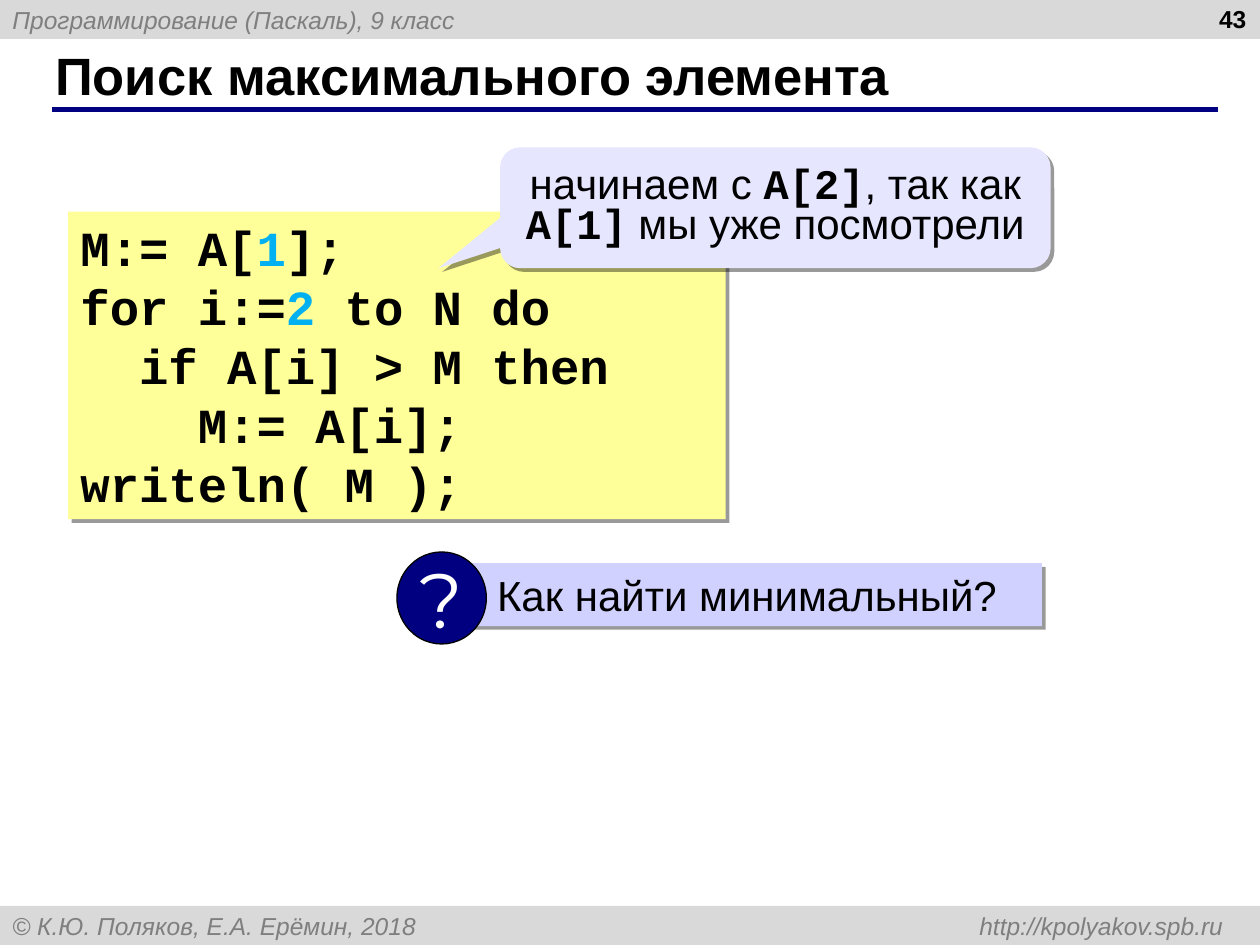
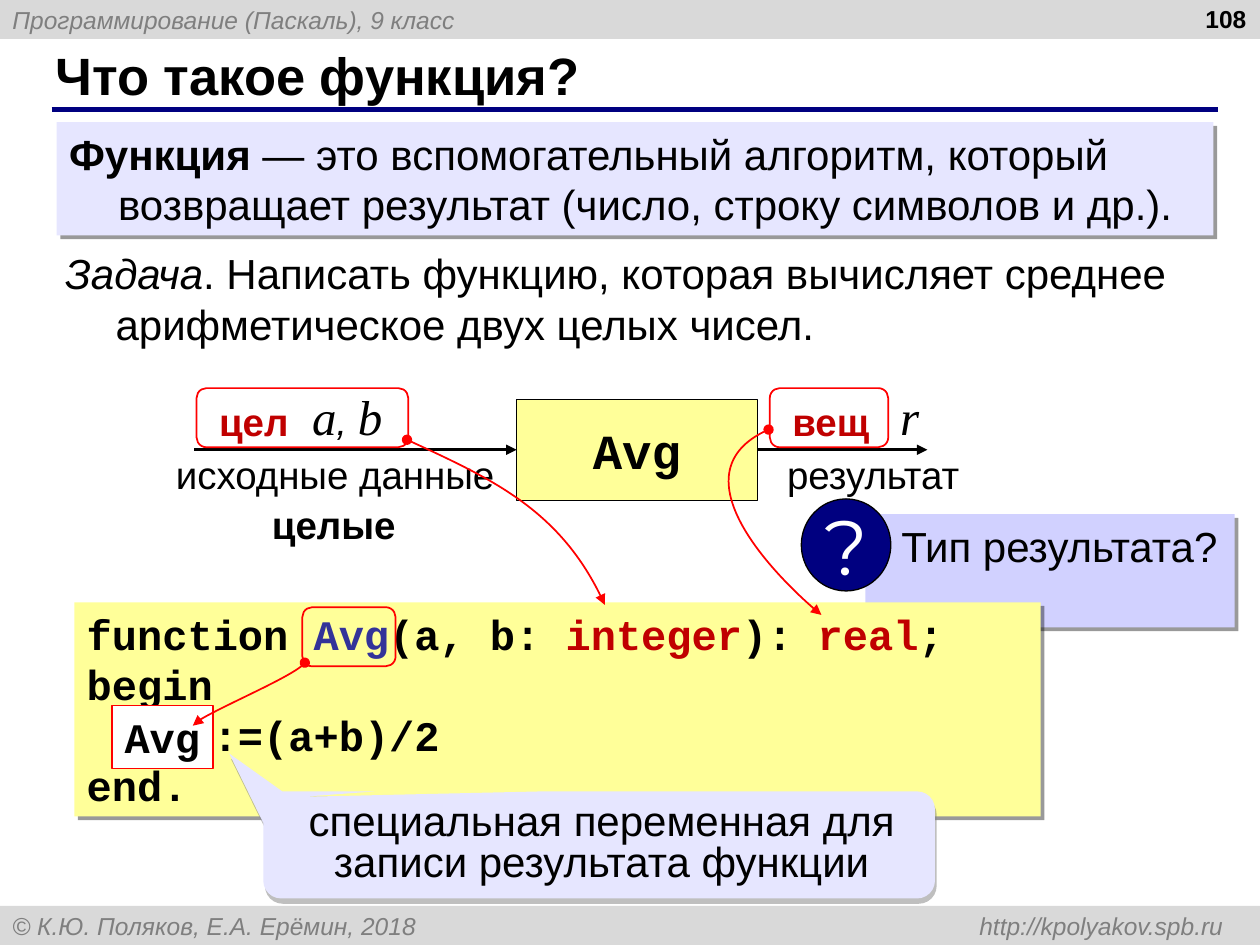
from lxml import etree
from pptx import Presentation
from pptx.dml.color import RGBColor
from pptx.enum import shapes, text
from pptx.oxml import ns
from pptx.util import Pt

# Shared colours
BLACK, WHITE, RED = "000000", "FFFFFF", "FF0000"
NAVY, BAND, GREY = "000080", "D9D9D9", "7F7F7F"
YELLOW, LILAC, ASK = "FFFF99", "E6E6FF", "D1D1FF"
CYAN, CRIMSON, BLUE = "00B0F0", "C00000", "333399"

# Shared text formats
BODY = dict(name="Arial", size=24, color=BLACK)
TITLE = dict(BODY, size=30, bold=True)
PAGE = dict(BODY, size=14, bold=True)
NOTE = dict(BODY, size=14, color=GREY, italic=True)
LABEL = dict(BODY, size=22)
MATH = dict(BODY, name="Times New Roman", size=28, italic=True)
CODE = dict(BODY, name="Courier New", bold=True)
BIG = dict(CODE, size=28)
MARK = dict(BODY, name="Montserrat", size=44, color=WHITE)

# Shadows: colour, opacity %, distance, angle
HARD = (BLACK, 40, 3, 45)
SOFT = ("808080", 50, 3.2, 72)

KIND = shapes.MSO_SHAPE
MID = text.MSO_ANCHOR.MIDDLE
CENTER = text.PP_ALIGN.CENTER
RIGHT = text.PP_ALIGN.RIGHT
PAD = (7.2, 3.6, 7.2, 3.6)
NONE = (0, 0, 0, 0)


def rgb(code):
    return RGBColor.from_string(code)


def node(parent, tag, **values):
    item = etree.SubElement(parent, ns.qn("a:" + tag))
    for key, value in values.items():
        item.set(key, str(value))
    return item


def style(font, form):
    for key, value in form.items():
        if key == "color":
            font.color.rgb = rgb(value)
        else:
            setattr(font, key, Pt(value) if key == "size" else value)


def write(shape, paras, form, align=None, anchor=text.MSO_ANCHOR.TOP,
          pad=PAD, wrap=True, gap=None, hang=0, tab=None):
    """Each paragraph is a list of strings or (string, changes) pairs."""
    frame = shape.text_frame
    frame.word_wrap = wrap
    frame.vertical_anchor = anchor
    for side, size in zip(("left", "top", "right", "bottom"), pad):
        setattr(frame, "margin_" + side, Pt(size))
    for i, parts in enumerate(paras):
        para = frame.add_paragraph() if i else frame.paragraphs[0]
        para.alignment = align or text.PP_ALIGN.LEFT
        if gap:
            para.line_spacing = gap
        props = para._p.get_or_add_pPr()
        if hang:
            props.set("marL", str(Pt(hang)))
            props.set("indent", str(-Pt(hang)))
        if tab:
            node(node(props, "tabLst"), "tab", pos=Pt(tab), algn="r")
        for part in parts:
            words, change = (part, {}) if isinstance(part, str) else part
            run = para.add_run()
            run.text = words
            style(run.font, {**form, **change})


def paint(shape, fill=None, line=None, shade=None):
    if fill:
        shape.fill.solid()
        shape.fill.fore_color.rgb = rgb(fill)
    else:
        shape.fill.background()
    if line:
        shape.line.color.rgb = rgb(line[0])
        shape.line.width = Pt(line[1])
    else:
        shape.line.fill.background()
    shape.shadow.inherit = False
    if shade:
        tint, alpha, dist, angle = shade
        effect = shape._element.spPr.find(ns.qn("a:effectLst"))
        outer = node(effect, "outerShdw", dist=Pt(dist), dir=angle * 60000,
                     algn="ctr", rotWithShape=0)
        node(node(outer, "srgbClr", val=tint), "alpha", val=alpha * 1000)


def block(slide, place, fill=None, line=None, shade=None, kind=KIND.RECTANGLE, adj=()):
    shape = slide.shapes.add_shape(kind, *map(Pt, place))
    for i, value in enumerate(adj):
        shape.adjustments[i] = value
    paint(shape, fill, line, shade)
    return shape


def label(slide, place, parts, form, **opts):
    write(slide.shapes.add_textbox(*map(Pt, place)), [parts], form, **opts)


def tips(shape, **ends):
    line = shape.line._get_or_add_ln()
    for end, kind in ends.items():
        node(line, end + "End", type=kind)


def rule(slide, start, end, color, width):
    line = slide.shapes.add_connector(shapes.MSO_CONNECTOR.STRAIGHT,
                                      *map(Pt, start + end))
    line.line.color.rgb = rgb(color)
    line.line.width = Pt(width)
    node(line._element.spPr, "effectLst")
    return line


def outline(slide, points, close):
    first, *rest = [(Pt(x), Pt(y)) for x, y in points]
    build = slide.shapes.build_freeform(*first)
    build.add_line_segments(rest, close=close)
    return build.convert_to_shape()


def curve(slide, *points):
    """Red Bezier arrow: start, two control points, end."""
    shape = outline(slide, points, False)
    legs = list(shape._element.iter(ns.qn("a:lnTo")))
    bend = node(legs[0].getparent(), "cubicBezTo")
    for leg in legs:
        bend.append(leg[0])
        leg.getparent().remove(leg)
    paint(shape, line=(RED, 1))
    tips(shape, head="oval", tail="triangle")


def ring(slide, x, y, w):
    block(slide, (x, y, w, 33.8), line=(RED, 1), kind=KIND.ROUNDED_RECTANGLE, adj=[0.167])


def listing(slide, place, lines, form):
    write(block(slide, place, YELLOW, shade=HARD), lines, form)


def bubble(slide, place, parts, adj, shade, pad=PAD):
    shape = block(slide, place, LILAC, shade=shade,
                  kind=KIND.ROUNDED_RECTANGULAR_CALLOUT, adj=adj + [0.167])
    write(shape, [parts], BODY, align=CENTER, anchor=MID, pad=pad, gap=0.8)


def ask(slide, words, x, y, size, drop):
    box = block(slide, (x + 36.7, y + drop, *size), ASK, shade=HARD)
    write(box, [[words]], BODY, pad=(20.5, 3.6, 0, 3.6))
    disc = block(slide, (x, y, 51.1, 52.6), NAVY, (BLACK, 0.75), kind=KIND.OVAL)
    write(disc, [["?"]], MARK, align=CENTER, anchor=MID, wrap=False)


def page(deck, title, number):
    slide = deck.slides.add_slide(deck.slide_layouts[6])
    bands = ((0, "Программирование (Паскаль), 9 класс"),
             (517.7, "© К.Ю. Поляков, Е.А. Ерёмин, 2018\thttp://kpolyakov.spb.ru"))
    for y, words in bands:
        write(block(slide, (0, y, 720, 22.3), BAND), [[words]], NOTE, anchor=MID, tab=692)
    rule(slide, (29.5, 62.6), (696.2, 62.6), NAVY, 3)
    label(slide, (24.5, 23.8, 659.5, 37.4), [title], TITLE, anchor=MID)
    label(slide, (551.5, 0, 167.8, 36), [number], PAGE, align=RIGHT, pad=(7.2, 2.2, 7.2, 3.6))
    return slide


def search(deck):
    slide = page(deck, "Поиск максимального элемента", "43")
    tint = dict(color=CYAN)
    listing(slide, (38.9, 121, 375.8, 175.7), [
        ["M:= A[", ("1", tint), "];"],
        ["for i:=", ("2", tint), " to N do"],
        ["  if A[i] > M then"],
        ["    M:= A[i];"],
        ["writeln( M );"]], BIG)
    bubble(slide, (285.8, 84.2, 314.6, 69.1),
           ["начинаем с ", ("A[2]", CODE), ", так как ", ("A[1]", CODE),
            " мы уже посмотрели"], [-0.612, 0.5], HARD)
    ask(slide, "Как найти минимальный?", 226.8, 315.4, (331.9, 36), 6.4)


def function(deck):
    slide = page(deck, "Что такое функция?", "108")

    # Definition and task
    box = block(slide, (32.4, 69.8, 661, 64.8), LILAC, shade=HARD)
    write(box, [[("Функция", dict(bold=True)),
                 " — это вспомогательный алгоритм, который возвращает "
                 "результат (число, строку символов и др.)."]], BODY, hang=28)
    label(slide, (30.2, 138.2, 667.4, 64.8),
          [("Задача", dict(italic=True)),
           ". Написать функцию, которая вычисляет среднее "
           "арифметическое двух целых чисел."], BODY, hang=28.8)

    # Data flow through the function
    unit = block(slide, (295.2, 228.2, 137.5, 57.6), YELLOW, (BLACK, 0.25))
    write(unit, [["Avg"]], BIG, align=CENTER, anchor=MID)
    inward = rule(slide, (110.9, 257), (295.2, 257), BLACK, 1.5)
    inward.end_connect(unit, 1)
    outward = rule(slide, (432.7, 257), (529.9, 257), BLACK, 1.5)
    outward.begin_connect(unit, 3)
    for arrow in (inward, outward):
        tips(arrow, tail="triangle")
    comma = (", ", dict(LABEL, italic=True))
    for x, y, w, parts, form in (
            (146.9, 221, 103, ["a", comma, "b"], MATH),
            (493.2, 221, 53.3, ["r"], MATH),
            (95.8, 257.8, 191.5, ["исходные данные"], LABEL),
            (434.9, 257.8, 128.2, ["результат"], LABEL)):
        label(slide, (x, y, w, 38.2), parts, form, align=CENTER, pad=NONE)
    for x, y, w, words, color in ((148.3, 283, 85, "целые", BLACK),
                                  (118.1, 223.9, 54, "цел", CRIMSON),
                                  (445.7, 223.9, 58.3, "вещ", CRIMSON)):
        label(slide, (x, y, w, 33.8), [words], dict(LABEL, bold=True, color=color), wrap=False)
    ask(slide, "Тип результата?", 457.9, 285.1, (211, 64.8), 8.7)

    # Program text
    kind = dict(color=CRIMSON)
    listing(slide, (42.5, 344.2, 552.2, 122.4), [
        ["function ", ("Avg", dict(color=BLUE)), "(a, b: ",
         ("integer", kind), "): ", ("real", kind), ";"],
        ["begin"],
        ["  Avg:=(a+b)/2"],
        ["end."]], CODE)

    # Links from the scheme to the program
    ring(slide, 112.3, 221.8, 121)
    curve(slide, (232.6, 251.3), (279.4, 272.9), (321.8, 292.3), (345.6, 345.6))
    ring(slide, 439.9, 221.8, 67.7)
    curve(slide, (439.2, 245.5), (384.5, 269.3), (448.6, 334.8), (469.4, 351.4))
    name = block(slide, (64.1, 403.2, 57.6, 36), WHITE, (RED, 0.75))
    write(name, [["Avg"]], CODE, wrap=False)

    # Remark on the result variable
    tail = outline(slide, [(161.3, 452.2), (131, 430.6), (150.5, 470.2)], True)
    paint(tail, LILAC, shade=SOFT)
    bubble(slide, (150.5, 452.2, 383.8, 61.2),
           ["специальная переменная для записи результата функции"],
           [-0.442, -0.449], SOFT, (4.3, 3.6, 1.4, 3.6))
    curve(slide, (174.2, 378.7), (172.1, 384.5), (109.4, 411.1), (110.2, 414.7))
    ring(slide, 172.8, 347, 53.3)


def main():
    deck = Presentation()
    deck.slide_width, deck.slide_height = Pt(720), Pt(540)
    search(deck)
    function(deck)
    deck.save("out.pptx")


if __name__ == "__main__":
    main()
